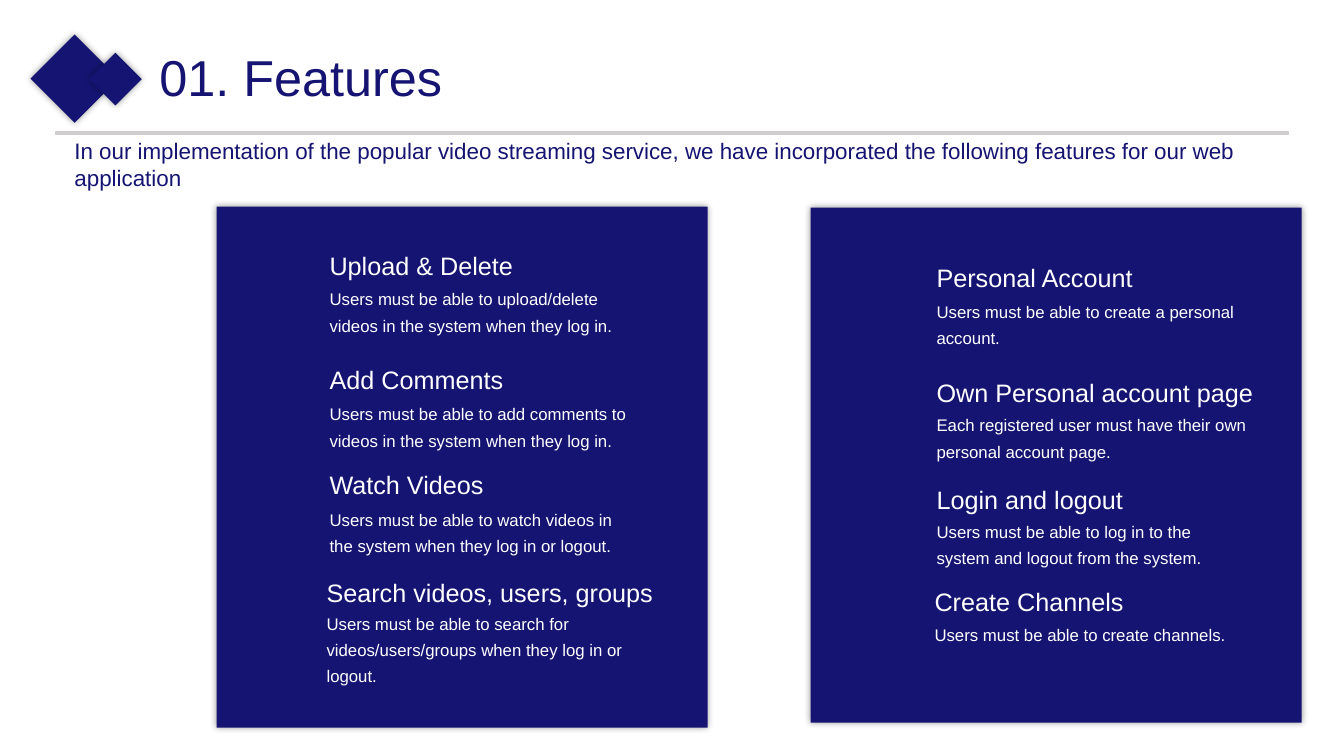
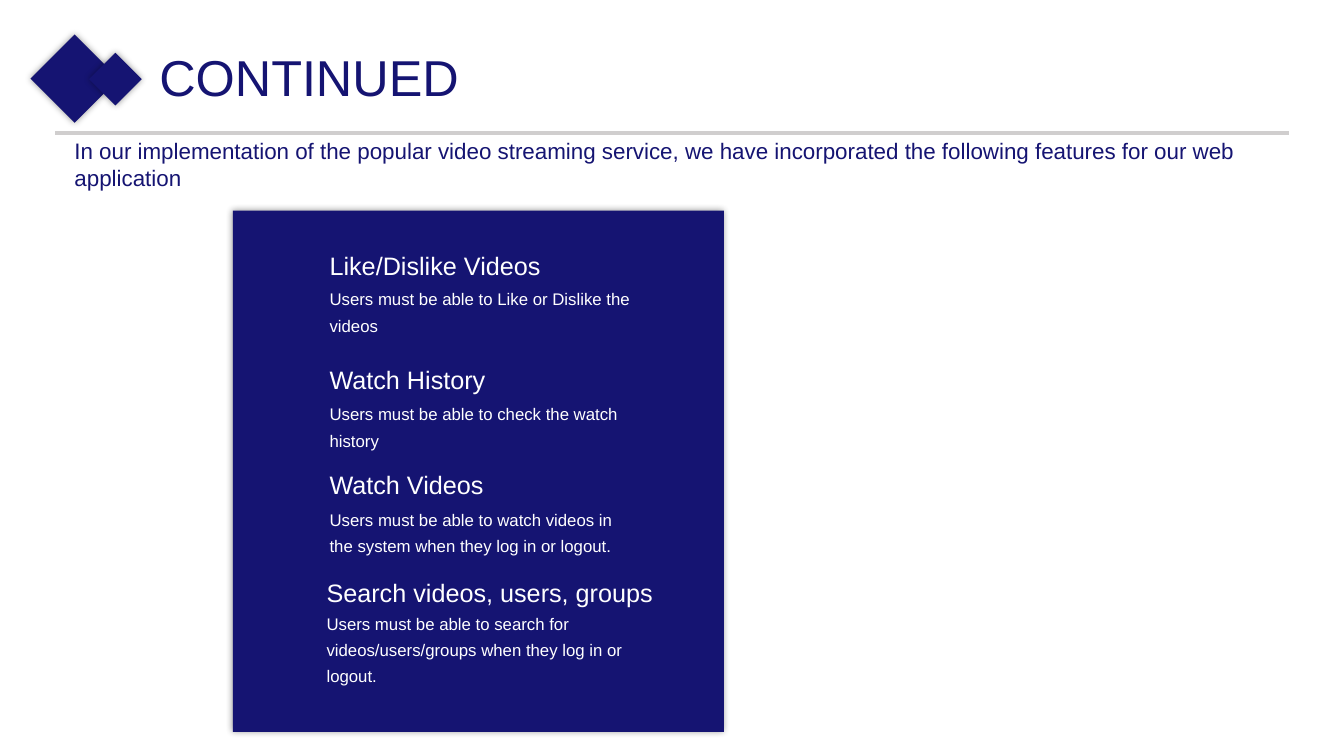
from dataclasses import dataclass

from lxml import etree
from pptx import Presentation
from pptx import util as u
from pptx.dml.color import RGBColor
from pptx.enum import shapes, text
from pptx.oxml import ns


@dataclass(frozen=True)
class Theme:
    font: str = "Arial"
    navy: RGBColor = RGBColor(0x15, 0x14, 0x72)
    white: RGBColor = RGBColor(0xFF, 0xFF, 0xFF)
    rule: RGBColor = RGBColor(0xD0, 0xCE, 0xCE)
    shadow: str = "000000"
    title: int = 36
    intro: int = 16
    heading: int = 18
    detail: int = 12


theme = Theme()


def add_block(slide, left, top, width, height, rotation=0):
    """Navy rectangle with a soft shadow all around."""
    block = slide.shapes.add_shape(
        shapes.MSO_SHAPE.RECTANGLE, *map(u.Inches, (left, top, width, height)))
    block.rotation = rotation
    block.fill.solid()
    block.fill.fore_color.rgb = theme.navy
    block.line.fill.background()
    block.shadow.inherit = False
    effects = block.element.spPr.find(ns.qn("a:effectLst"))
    glow = etree.SubElement(effects, ns.qn("a:outerShdw"),
                            blurRad=str(u.Pt(5)), dist="0", dir="0", rotWithShape="0")
    tint = etree.SubElement(glow, ns.qn("a:srgbClr"), val=theme.shadow)
    etree.SubElement(tint, ns.qn("a:alpha"), val="40000")


def write(box, words, size, color, spacing=1.0):
    """Fill a text box or placeholder with one left-aligned paragraph."""
    frame = box.text_frame
    frame.text = words
    frame.word_wrap = True
    frame.auto_size = text.MSO_AUTO_SIZE.SHAPE_TO_FIT_TEXT
    frame.vertical_anchor = text.MSO_ANCHOR.TOP
    paragraph = frame.paragraphs[0]
    paragraph.alignment = text.PP_ALIGN.LEFT
    paragraph.line_spacing = spacing
    font = paragraph.runs[0].font
    font.name, font.size, font.color.rgb = theme.font, u.Pt(size), color


# Content: features are (left, heading top, detail top, heading, detail)
intro_words = ("In our implementation of the popular video streaming service, we have "
               "incorporated the following features for our web application")

watch_and_search = [
    (3.17, 4.52, 4.95, "Watch Videos",
     "Users must be able to watch videos in the system when they log in or logout."),
    (3.14, 5.59, 5.98, "Search videos, users, groups",
     "Users must be able to search for videos/users/groups when they log in or logout."),
]
video_features = [
    (3.17, 2.34, 2.76, "Upload & Delete",
     "Users must be able to upload/delete videos in the system when they log in."),
    (3.17, 3.48, 3.9, "Add Comments",
     "Users must be able to add comments to videos in the system when they log in."),
] + watch_and_search
account_features = [
    (9.19, 2.46, 2.88, "Personal Account",
     "Users must be able to create a personal account."),
    (9.19, 3.6, 4.01, "Own Personal account page",
     "Each registered user must have their own personal account page."),
    (9.19, 4.67, 5.07, "Login and logout",
     "Users must be able to log in to the system and logout from the system."),
    (9.17, 5.68, 6.09, "Create Channels",
     "Users must be able to create channels."),
]
more_features = [
    (3.17, 2.34, 2.76, "Like/Dislike Videos",
     "Users must be able to Like or Dislike the videos"),
    (3.17, 3.48, 3.9, "Watch History",
     "Users must be able to check the watch history"),
] + watch_and_search

# Each panel is (left, top, height, features)
pages = [
    ("01. Features", [(8.04, 2.06, 5.11, account_features),
                      (2.15, 2.05, 5.17, video_features)]),
    ("CONTINUED", [(2.31, 2.09, 5.17, more_features)]),
]
panel_width = 4.87
heading_width, heading_height = 3.62, 0.46
detail_width, detail_height = 3.28, 0.6

deck = Presentation()
deck.slide_width, deck.slide_height = u.Inches(13.33), u.Inches(7.5)
title_only = deck.slide_layouts[5]

for title_words, panels in pages:
    slide = deck.slides.add_slide(title_only)

    # Title with its rule and the pair of diamonds
    title = slide.shapes.title
    title.left, title.top = u.Inches(1.48), u.Inches(0.41)
    title.width, title.height = u.Inches(6.21), u.Inches(0.71)
    write(title, title_words, theme.title, theme.navy)

    rule = slide.shapes.add_connector(
        shapes.MSO_CONNECTOR.STRAIGHT, *map(u.Inches, (0.55, 1.32, 12.78, 1.32)))
    rule.line.color.rgb = theme.rule
    rule.line.width = u.Pt(2.25)
    etree.SubElement(rule.element.spPr, ns.qn("a:effectLst"))

    for left, top, side in ((0.43, 0.47, 0.62), (0.96, 0.6, 0.37)):
        add_block(slide, left, top, side, side, rotation=315)

    # Introduction
    intro = slide.shapes.add_textbox(*map(u.Inches, (0.64, 1.31, 12.24, 0.64)))
    write(intro, intro_words, theme.intro, theme.navy)

    # Feature panels
    for panel_left, panel_top, panel_height, features in panels:
        add_block(slide, panel_left, panel_top, panel_width, panel_height)
        for left, heading_top, detail_top, heading_words, detail_words in features:
            heading = slide.shapes.add_textbox(*map(
                u.Inches, (left, heading_top, heading_width, heading_height)))
            write(heading, heading_words, theme.heading, theme.white, spacing=1.3)
            detail = slide.shapes.add_textbox(*map(
                u.Inches, (left, detail_top, detail_width, detail_height)))
            write(detail, detail_words, theme.detail, theme.white, spacing=1.3)

deck.save("out.pptx")
